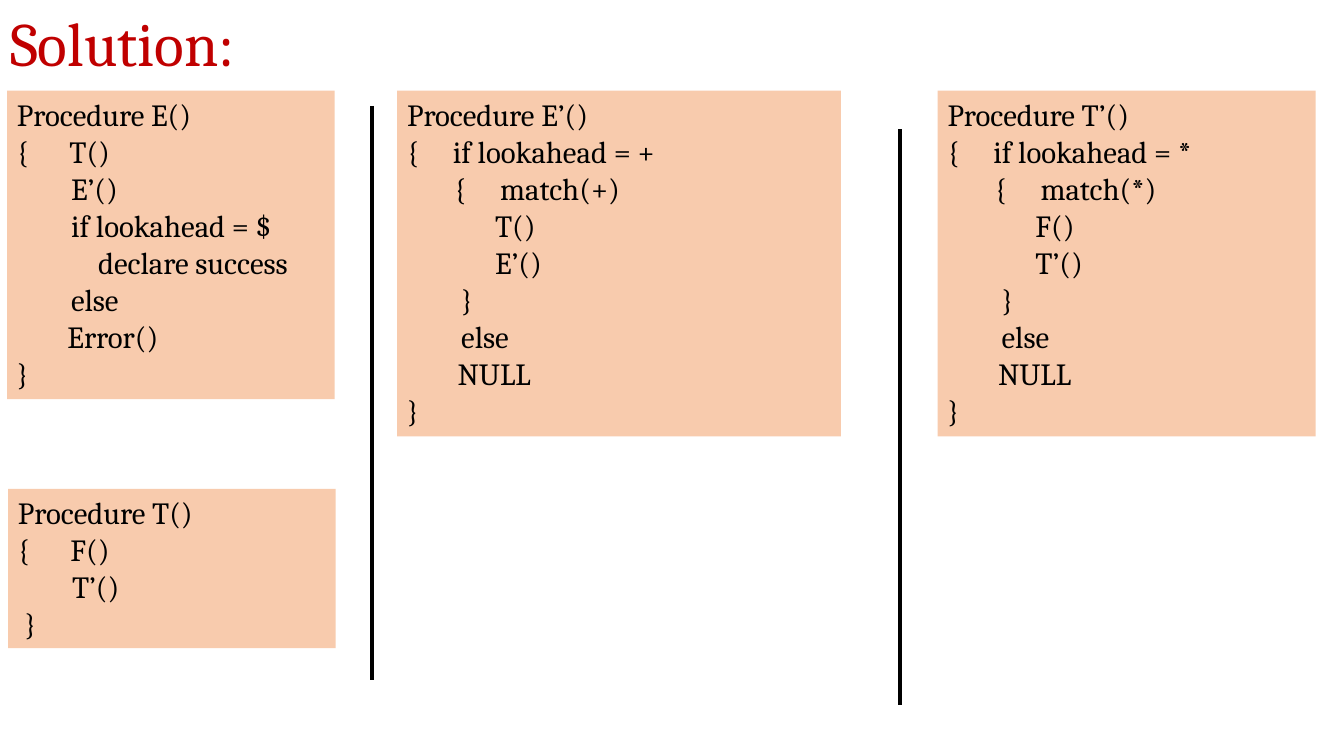
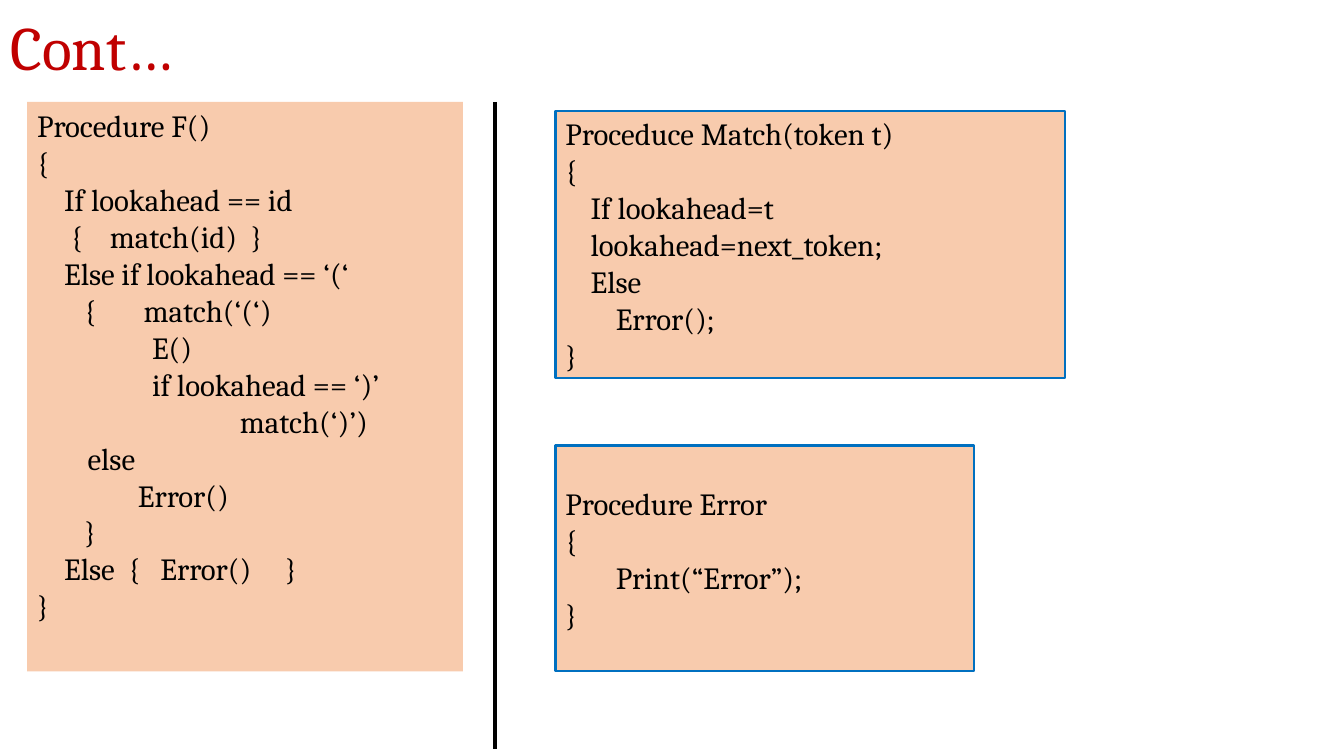
from lxml.etree import SubElement
from pptx import Presentation
from pptx.dml.color import RGBColor
from pptx.enum.shapes import MSO_CONNECTOR, MSO_SHAPE
from pptx.enum.text import MSO_ANCHOR, MSO_AUTO_SIZE, PP_ALIGN
from pptx.oxml.ns import qn
from pptx.util import Inches, Pt


def rgb(value):
    return RGBColor.from_string(value)


def optional_loop(name, operator, operand):
    return "\n".join([
        f"Procedure {name}()",
        f"{{     if lookahead = {operator}",
        f"       {{     match({operator})",
        f"             {operand}()",
        f"             {name}()",
        "        }",
        "        else",
        "\tNULL",
        "}",
    ])


PROC_E = """Procedure E()
{      T()
        E’()
        if lookahead = $
            declare success
        else
\tError()
}"""

PROC_T = """Procedure T()
{      F()
        T’()
 }"""

PROC_F = """Procedure F()
{
    If lookahead == id
     {    match(id)  }
    Else if lookahead == ‘(‘
       {       match(‘(‘)
                 E()
                 if lookahead == ‘)’
                              match(‘)’)
\telse
\t\tError()
       }
    Else  {   Error()     }
}"""

PROC_MATCH = """Proceduce Match(token t)
{
\tIf lookahead=t
\tlookahead=next_token;
\tElse
\t\tError();
}"""

PROC_ERROR = """Procedure Error
{
\tPrint(“Error”);
}"""


class Deck:
    FONT = "Cambria"
    TITLE = "C00000"
    PANEL = "F8CBAD"
    OUTLINE = "0070C0"
    INK = "000000"

    def __init__(self):
        self.prs = Presentation()
        self.prs.slide_width = Inches(13.33)
        self.prs.slide_height = Inches(7.5)
        self.s = None

    def style(self, p, size, color):
        for r in p.runs:
            r.font.name = self.FONT
            r.font.size = Pt(size)
            r.font.color.rgb = rgb(color)

    def slide(self, title, top, height):
        self.s = self.prs.slides.add_slide(self.prs.slide_layouts[5])
        sp = self.s.shapes.title
        sp.left, sp.top = Inches(0), Inches(top)
        sp.width, sp.height = Inches(11.5), Inches(height)
        tf = sp.text_frame
        tf.text = title
        tf.auto_size = MSO_AUTO_SIZE.NONE
        tf.vertical_anchor = MSO_ANCHOR.MIDDLE
        p = tf.paragraphs[0]
        p.alignment = PP_ALIGN.LEFT
        p.line_spacing = 0.9
        self.style(p, 44, self.TITLE)

    def divider(self, x, top, bottom):
        line = self.s.shapes.add_connector(
            MSO_CONNECTOR.STRAIGHT, Inches(x), Inches(top), Inches(x), Inches(bottom))
        line.line.color.rgb = rgb(self.INK)
        line.line.width = Pt(3)
        SubElement(line._element.spPr, qn("a:effectLst"))

    def code(self, text, left, top, width, height, outlined=False, tabs=()):
        sp = self.s.shapes.add_shape(
            MSO_SHAPE.RECTANGLE, Inches(left), Inches(top), Inches(width), Inches(height))
        sp.shadow.inherit = False
        sp.fill.solid()
        sp.fill.fore_color.rgb = rgb(self.PANEL)
        tf = sp.text_frame
        tf.word_wrap = True
        if outlined:
            sp.line.color.rgb = rgb(self.OUTLINE)
            sp.line.width = Pt(1.5)
            tf.vertical_anchor = MSO_ANCHOR.MIDDLE
            tf.margin_top = tf.margin_bottom = Inches(0)
        else:
            sp.line.fill.background()
            tf.vertical_anchor = MSO_ANCHOR.TOP
        tf.text = text
        for p in tf.paragraphs:
            p.alignment = PP_ALIGN.LEFT
            if tabs:
                stops = SubElement(p._p.get_or_add_pPr(), qn("a:tabLst"))
                for stop in tabs:
                    SubElement(stops, qn("a:tab"), pos=str(Inches(stop)), algn="l")
            self.style(p, 22, self.INK)


def main():
    deck = Deck()

    deck.slide("Solution:", 0.02, 0.88)
    deck.divider(3.69, 1.05, 6.75)
    deck.divider(8.93, 1.28, 6.99)
    deck.code(PROC_E, 0.07, 0.9, 3.25, 3.06)
    deck.code(PROC_T, 0.08, 4.85, 3.25, 1.58)
    deck.code(optional_loop("E’", "+", "T"), 3.94, 0.9, 4.4, 3.43)
    deck.code(optional_loop("T’", "*", "F"), 9.3, 0.9, 3.75, 3.43)

    deck.slide("Cont…", 0, 1.01)
    deck.divider(4.91, 1.01, 7.43)
    deck.code(PROC_F, 0.27, 1.01, 4.32, 5.65)
    deck.code(PROC_MATCH, 5.51, 1.1, 5.05, 2.65, outlined=True, tabs=(0.25, 0.5))
    deck.code(PROC_ERROR, 5.51, 4.42, 4.15, 2.24, outlined=True)

    deck.prs.save("out.pptx")


if __name__ == "__main__":
    main()
